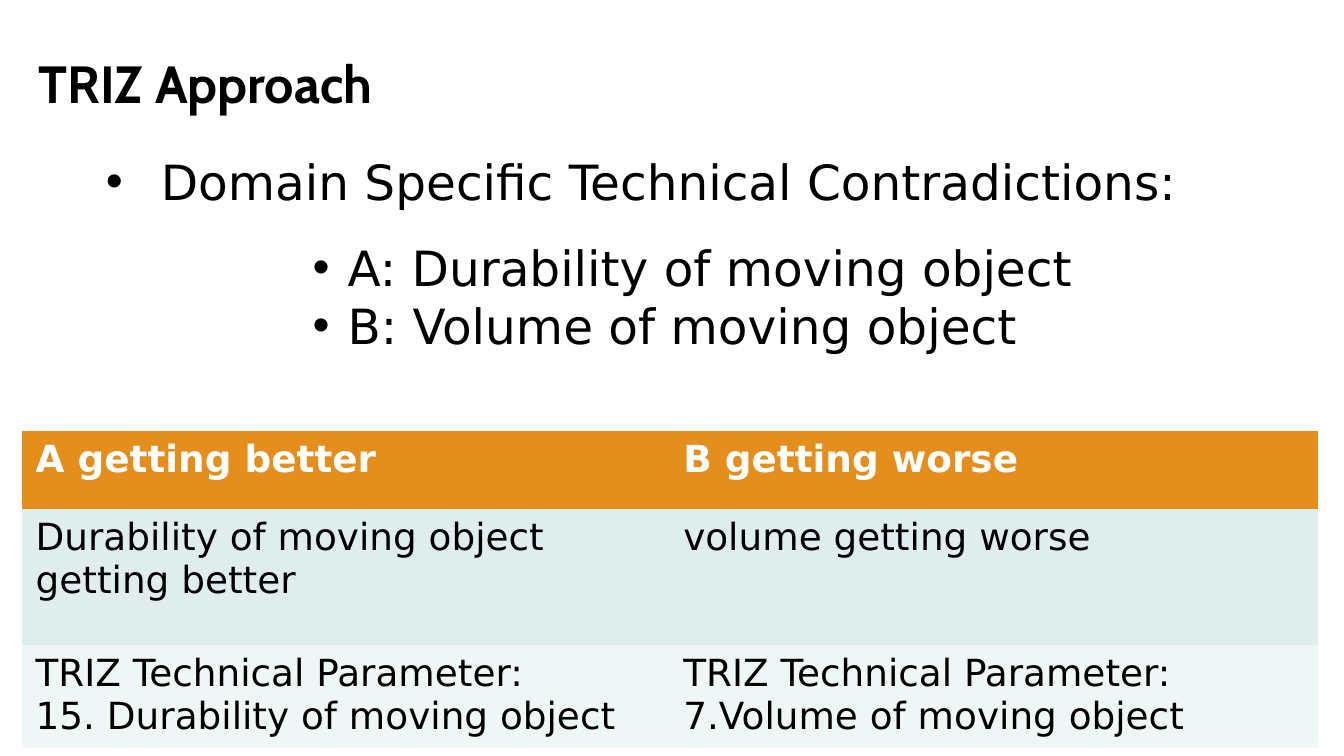
from dataclasses import dataclass

from lxml.etree import SubElement
from pptx import Presentation
from pptx.dml.color import RGBColor
from pptx.oxml.ns import qn
from pptx.util import Cm, Pt

BODY_FONT = "DejaVu Sans"
BLACK, WHITE = "000000", "FFFFFF"


@dataclass
class TextBox:
    left: float
    top: float
    width: float
    height: float
    lines: list[str]
    size: int = 26
    font: str = BODY_FONT
    bold: bool = False
    indent: float = 0


@dataclass
class Row:
    height: float
    cells: list[str]
    fill: str
    color: str = BLACK
    bold: bool = False


BOXES = [
    TextBox(0.48, 0.84, 11.48, 1.45, ["TRIZ Approach"], size=28, font="Cabin", bold=True),
    TextBox(1.75, 2.74, 22.94, 4.65, ["Domain Specific Technical Contradictions:"], indent=1.04),
    TextBox(5.66, 4.37, 16.31, 2.46,
            ["A: Durability of moving object", "B: Volume of moving object"], indent=0.66),
]

ROWS = [
    Row(1.47, ["A getting better", "B getting worse"], "E48E1E", WHITE, True),
    Row(2.57, ["Durability of moving object getting better", "volume getting worse"], "DFEEED"),
    Row(1.47, ["TRIZ Technical Parameter:\n15. Durability of moving object",
               "TRIZ Technical Parameter:\n7.Volume of moving object"], "EFF7F6"),
]


def rgb(color: str) -> RGBColor:
    return RGBColor.from_string(color)


def add_bullet(p, indent: float) -> None:
    pPr = p._p.get_or_add_pPr()
    pPr.set("marL", str(Cm(indent)))
    pPr.set("indent", str(-Cm(indent)))
    SubElement(pPr, qn("a:buFont"), typeface="Arial")
    SubElement(pPr, qn("a:buChar"), char="•")


def write(tf, lines: list[str], *, size: int, font: str = BODY_FONT, color: str = BLACK,
          bold: bool = False, indent: float = 0) -> None:
    for i, line in enumerate(lines):
        p = tf.add_paragraph() if i else tf.paragraphs[0]
        if indent:
            add_bullet(p, indent)
        r = p.add_run()
        r.text = line
        r.font.size = Pt(size)
        r.font.name = font
        r.font.bold = bold
        r.font.color.rgb = rgb(color)


def add_text(s, box: TextBox) -> None:
    sp = s.shapes.add_textbox(Cm(box.left), Cm(box.top), Cm(box.width), Cm(box.height))
    tf = sp.text_frame
    tf.word_wrap = True
    write(tf, box.lines, size=box.size, font=box.font, bold=box.bold, indent=box.indent)


def add_table(s, rows: list[Row], left: float, top: float, col_width: float) -> None:
    cols = len(rows[0].cells)
    height = sum(row.height for row in rows)
    table = s.shapes.add_table(len(rows), cols, Cm(left), Cm(top),
                               Cm(col_width * cols), Cm(height)).table
    table.horz_banding = False
    tblPr = table._tbl.tblPr
    tblPr.find(qn("a:tableStyleId")).text = "{2D5ABB26-0587-4C30-8999-92F81FD0307C}"
    for i, row in enumerate(rows):
        table.rows[i].height = Cm(row.height)
        for j, text in enumerate(row.cells):
            cell = table.cell(i, j)
            cell.fill.solid()
            cell.fill.fore_color.rgb = rgb(row.fill)
            write(cell.text_frame, text.split("\n"), size=20, color=row.color, bold=row.bold)


def main() -> None:
    prs = Presentation()
    prs.slide_width, prs.slide_height = Cm(25.4), Cm(14.29)
    s = prs.slides.add_slide(prs.slide_layouts[6])
    for box in BOXES:
        add_text(s, box)
    add_table(s, ROWS, left=0.42, top=8.15, col_width=12.24)
    prs.save("out.pptx")


if __name__ == "__main__":
    main()
